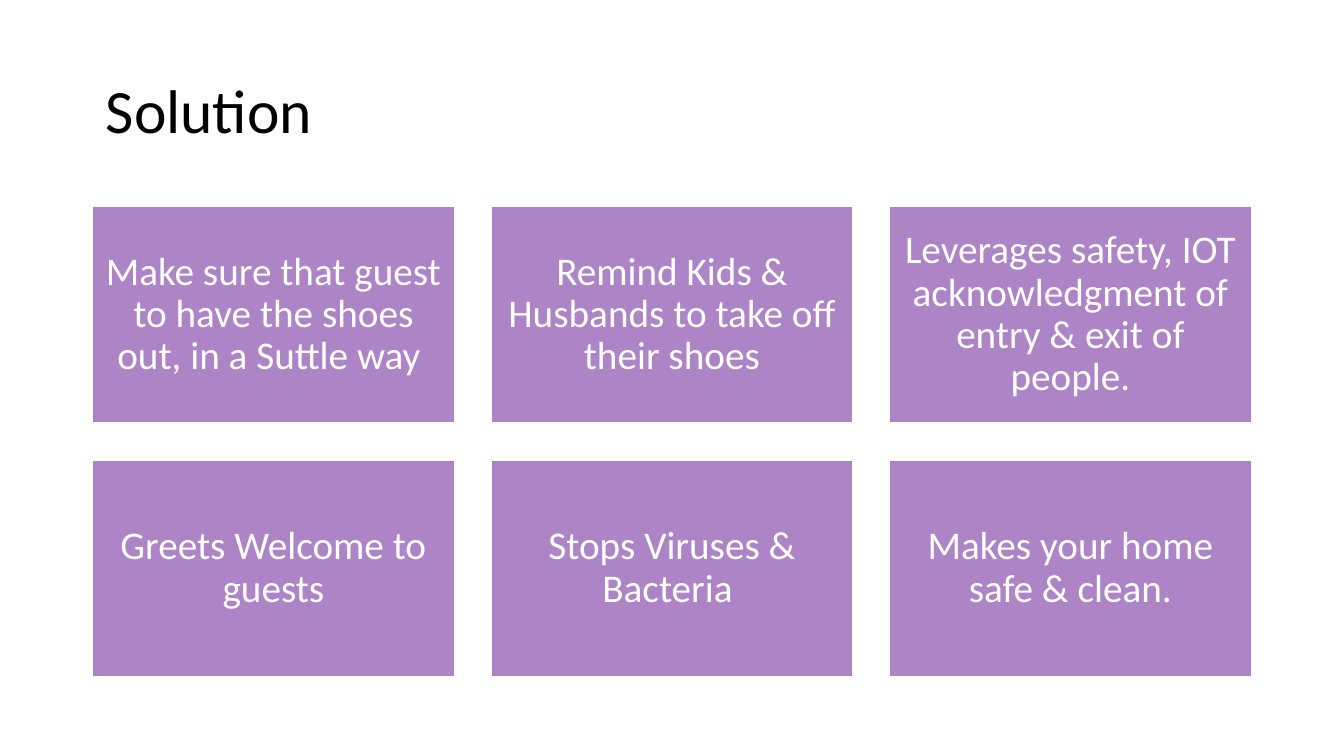
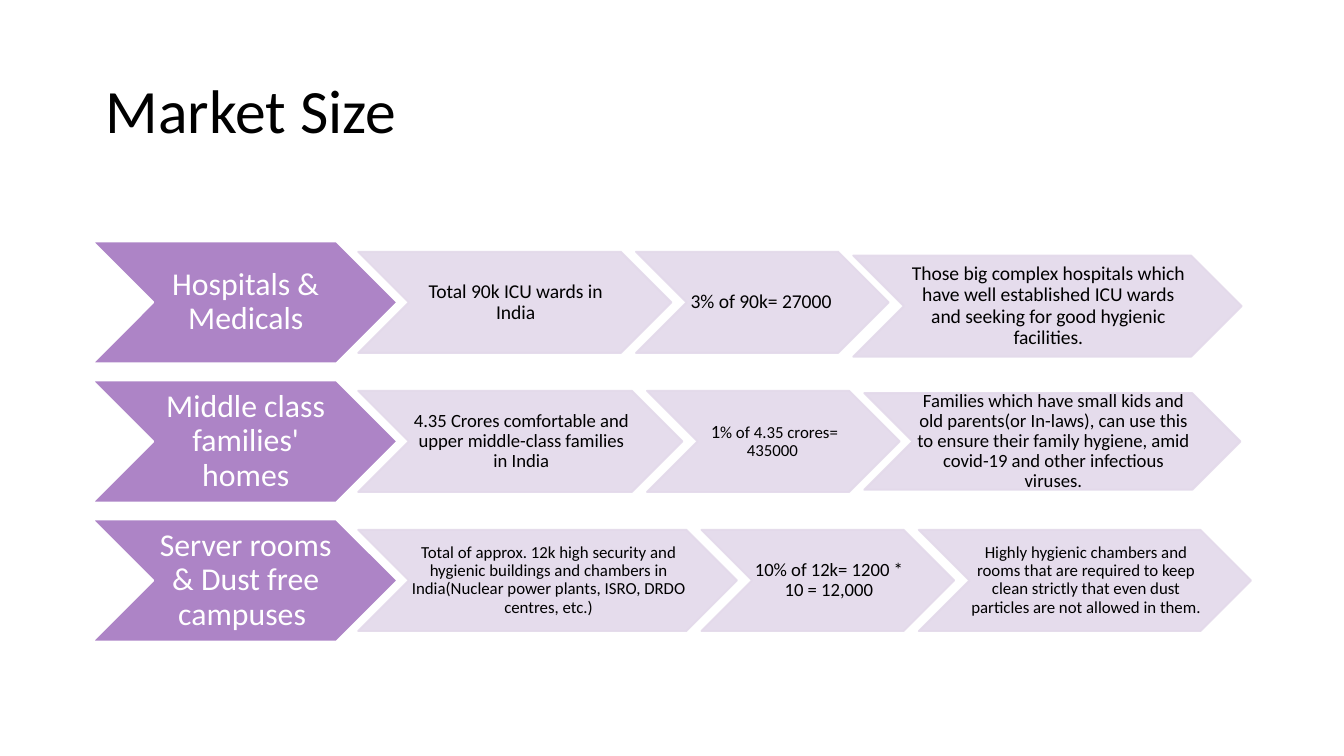
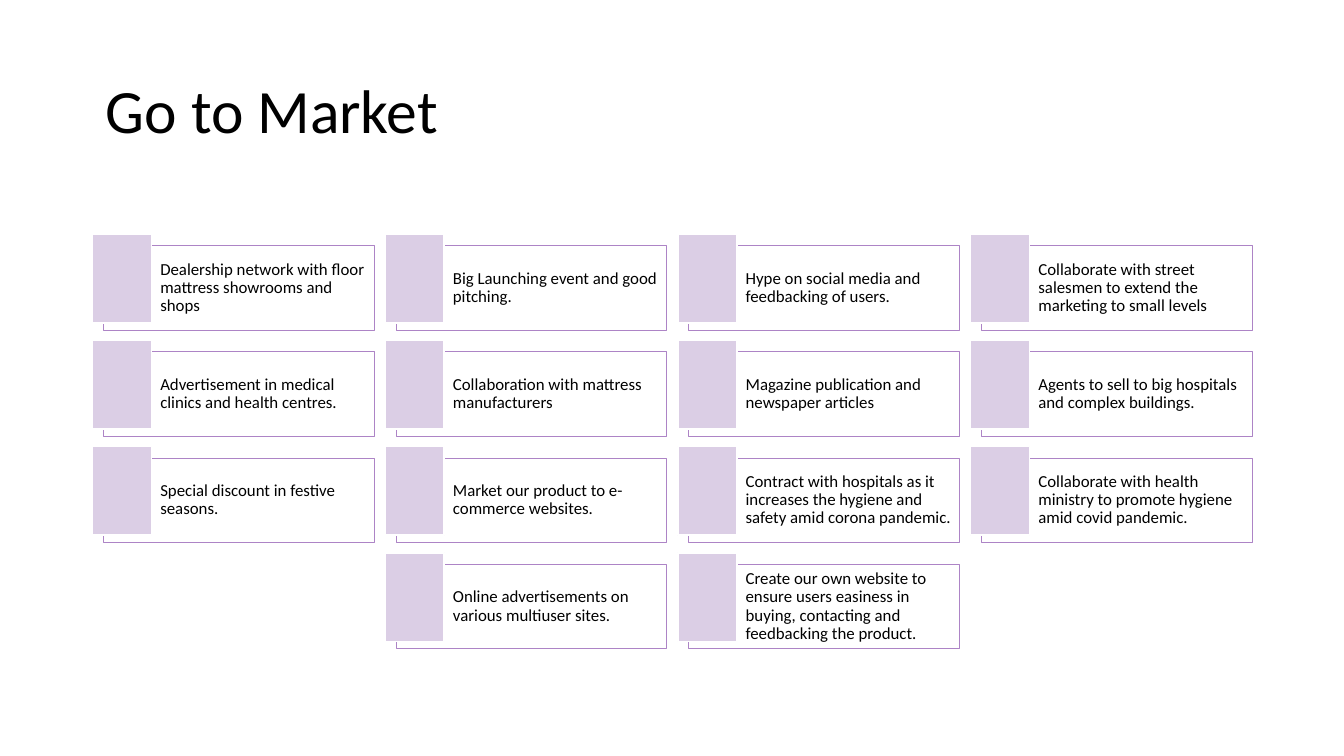
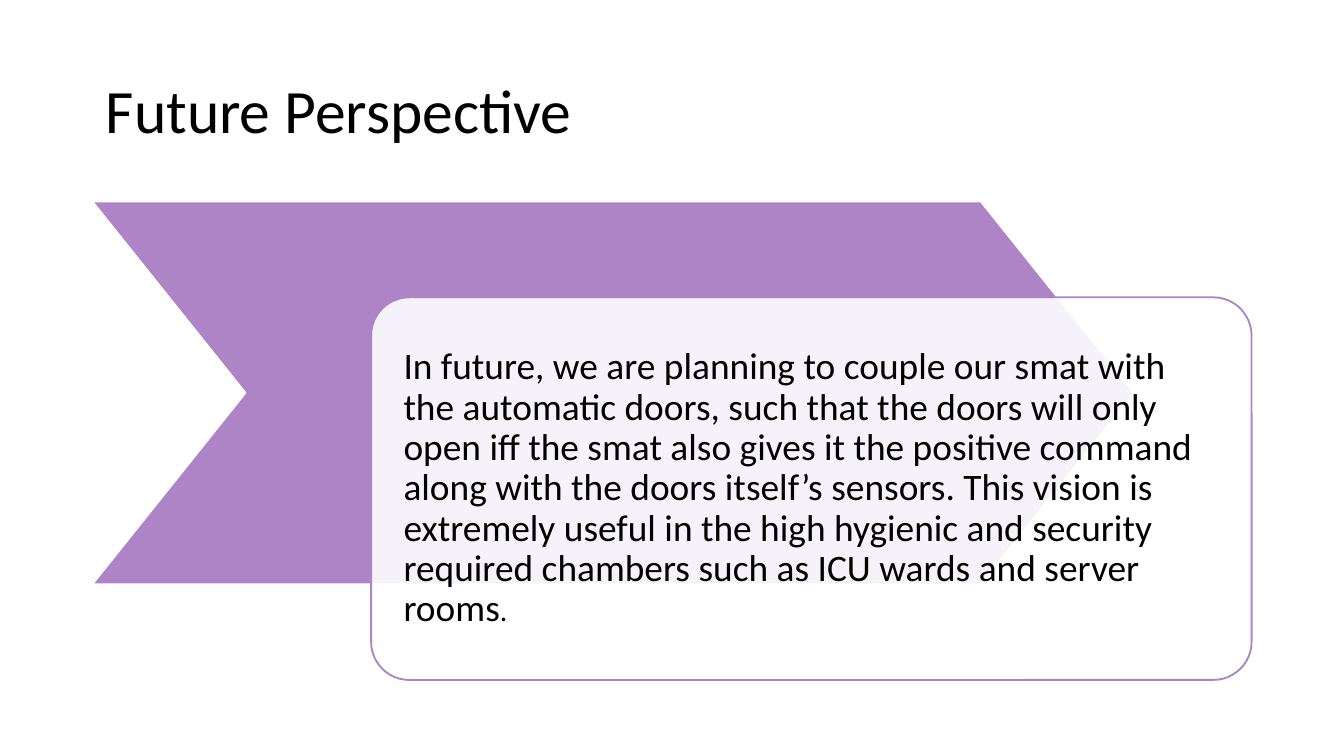
from lxml.etree import SubElement
from pptx import Presentation
from pptx.dml.color import RGBColor
from pptx.enum.shapes import MSO_SHAPE as Shape
from pptx.enum.text import MSO_ANCHOR as Anchor, MSO_AUTO_SIZE as AutoSize, PP_ALIGN as Align
from pptx.oxml.ns import qn
from pptx.util import Pt

FONT = "Calibri"
COLORS = {
    "accent": "AD84C6",
    "pale": "E3D9EA",
    "tile": "DBCEE5",
    "white": "FFFFFF",
    "black": "000000",
}
LEFT, CONTENT_WIDTH = 49.5, 621

BENEFITS = [
    [
        "Make sure that guest to have the shoes out, in a Suttle way ",
        "Remind Kids & Husbands to take off their shoes",
        "Leverages safety, IOT acknowledgment of entry & exit of people.",
    ],
    [
        "Greets Welcome to guests",
        "Stops Viruses & Bacteria ",
        "Makes your home safe & clean.",
    ],
]

# Each step: width, height, vertical shift, runs of (text, size)
MARKETS = [
    ("Hospitals & Medicals", [
        (167.8, 54.2, 0, [("Total 90k ICU wards in India", 10.5)]),
        (135.4, 54.2, 0, [("3% of 90k= 27000 ", 10.5)]),
        (208.1, 54.2, 2, [("Those big complex hospitals which have well established ICU wards "
                           "and seeking for good hygienic facilities.", 10.5)]),
    ]),
    ("Middle class families' homes", [
        (173.7, 54.2, 0, [("4.35 Crores comfortable and upper middle-class families in India", 10)]),
        (135.4, 54.2, 0, [("1", 10), ("% of 4.35 crores= 435000 ", 9)]),
        (201.6, 51.8, 0, [("Families which have small kids and old parents(or In-laws), can use this "
                           "to ensure their family hygiene, amid covid-19 and other infectious viruses.", 10)]),
    ]),
    ("Server rooms & Dust free campuses ", [
        (202.9, 54.2, 0, [("Total of approx. 12k high security and hygienic buildings and chambers in "
                           "India(Nuclear power plants, ISRO, DRDO centres, etc.)", 9)]),
        (135.4, 54.2, 0, [("10% of 12k= 1200 * 10 = 12,000", 10)]),
        (178, 54.2, 0, [("Highly hygienic chambers and rooms that are required to keep clean strictly "
                         "that even dust particles are not allowed in them.", 9)]),
    ]),
]

CHANNELS = [
    [
        "Dealership network with floor mattress showrooms and shops",
        "Big Launching event and good pitching.",
        "Hype on social media and feedbacking of users.",
        "Collaborate with street salesmen to extend the marketing to small levels",
    ],
    [
        "Advertisement in medical clinics and health centres.",
        "Collaboration with mattress manufacturers",
        "Magazine publication and newspaper articles",
        "Agents to sell to big hospitals and complex buildings.",
    ],
    [
        "Special discount in festive seasons.",
        "Market our product to e-commerce websites.",
        "Contract with hospitals as it increases the hygiene and safety amid corona pandemic.",
        "Collaborate with health ministry to promote hygiene amid covid pandemic.",
    ],
    [
        "Online advertisements on various multiuser sites.",
        "Create our own website to ensure users easiness in buying, contacting "
        "and feedbacking the product.",
    ],
]

VISION = [
    ("In future, we are planning to couple our smat with the automatic doors, such that the doors "
     "will only open iff the smat also gives it the positive command along with the doors itself’s "
     "sensors. This vision is extremely useful in the high hygienic and security required chambers "
     "such as ICU wards and server rooms", 20),
    (".", 16),
]


def color(name):
    return RGBColor.from_string(COLORS[name])


def place(shape, left, top, width, height):
    shape.left, shape.top = Pt(left), Pt(top)
    shape.width, shape.height = Pt(width), Pt(height)


def write(shape, runs, text_color, align=Align.LEFT, insets=None):
    frame = shape.text_frame
    frame.word_wrap = True
    frame.auto_size = AutoSize.NONE
    frame.vertical_anchor = Anchor.MIDDLE
    if insets:
        (frame.margin_left, frame.margin_top,
         frame.margin_right, frame.margin_bottom) = map(Pt, insets)
    paragraph = frame.paragraphs[0]
    paragraph.alignment = align
    paragraph.line_spacing = 0.9
    for text, size in runs:
        run = paragraph.add_run()
        run.text = text
        run.font.name = FONT
        run.font.size = Pt(size)
        run.font.color.rgb = color(text_color)


def add_panel(slide, kind, box, fill, line, line_width=1, alphas=(100, 100), adjustment=None):
    shape = slide.shapes.add_shape(kind, *map(Pt, box))
    shape.shadow.inherit = False
    shape.fill.solid()
    shape.fill.fore_color.rgb = color(fill)
    shape.line.color.rgb = color(line)
    shape.line.width = Pt(line_width)
    if adjustment is not None:
        shape.adjustments[0] = adjustment
    for solid, alpha in zip(shape._element.spPr.iter(qn("a:solidFill")), alphas):
        if alpha < 100:
            SubElement(solid[0], qn("a:alpha")).set("val", str(alpha * 1000))
    return shape


def add_titled_slide(presentation, title):
    slide = presentation.slides.add_slide(presentation.slide_layouts[5])
    place(slide.shapes.title, LEFT, 21.6, CONTENT_WIDTH, 78.3)
    write(slide.shapes.title, [(title, 33)], "black", insets=(7.2, 3.6, 7.2, 3.6))
    return slide


def build_solution(presentation):
    slide = add_titled_slide(presentation, "Solution")
    width = CONTENT_WIDTH / 3.2
    height, gap = width * 0.6, width * 0.1
    for row, benefits in enumerate(BENEFITS):
        for column, benefit in enumerate(benefits):
            box = (LEFT + column * (width + gap), 110.4 + row * (height + gap), width, height)
            card = add_panel(slide, Shape.RECTANGLE, box, "accent", "white")
            write(card, [(benefit, 21)], "white", Align.CENTER, (6.3,) * 4)


def build_market_size(presentation):
    slide = add_titled_slide(presentation, "Market Size")
    insets = (1, 0.6, 0, 0.6)
    label_height, pitch, overlap = 65.4, 74.5, 19
    for row, (market, steps) in enumerate(MARKETS):
        top = 129.3 + row * pitch
        label = add_panel(slide, Shape.CHEVRON, (LEFT, top, 163.4, label_height), "accent", "white")
        write(label, [(market, 17)], "white", Align.CENTER, insets)
        left = 191.9
        for width, height, shift, runs in steps:
            box = (left, top + (label_height - height) / 2 + shift, width, height)
            step = add_panel(slide, Shape.CHEVRON, box, "pale", "pale", alphas=(90, 90))
            write(step, runs, "black", Align.CENTER, insets)
            left += width - overlap


def build_go_to_market(presentation):
    slide = add_titled_slide(presentation, "Go to Market")
    column_pitch, row_pitch = 156.8, 56.9
    columns = len(CHANNELS[0])
    for row, channels in enumerate(CHANNELS):
        row_left = LEFT + (columns - len(channels)) / 2 * column_pitch
        top = 125.4 + row * row_pitch
        for column, channel in enumerate(channels):
            left = row_left + column * column_pitch
            card = add_panel(slide, Shape.RECTANGLE, (left + 6, top + 6.2, 144.9, 45.3),
                             "white", "accent", 0.5, alphas=(40, 100))
            write(card, [(channel, 9)], "black", insets=(30.4, 2.7, 2.7, 2.7))
            add_panel(slide, Shape.RECTANGLE, (left, top, 31.7, 47.6), "tile", "white")


def build_future(presentation):
    slide = add_titled_slide(presentation, "Future Perspective")
    add_panel(slide, Shape.CHEVRON, (LEFT, 108, 558, 205), "accent", "white", adjustment=0.4)
    card = add_panel(slide, Shape.ROUNDED_RECTANGLE, (198.8, 159.3, 471.7, 205),
                     "white", "accent", alphas=(90, 100), adjustment=0.1)
    write(card, VISION, "black", insets=(11.4,) * 4)


def main():
    presentation = Presentation()
    presentation.slide_width, presentation.slide_height = Pt(720), Pt(405)
    build_solution(presentation)
    build_market_size(presentation)
    build_go_to_market(presentation)
    build_future(presentation)
    presentation.save("out.pptx")


if __name__ == "__main__":
    main()
